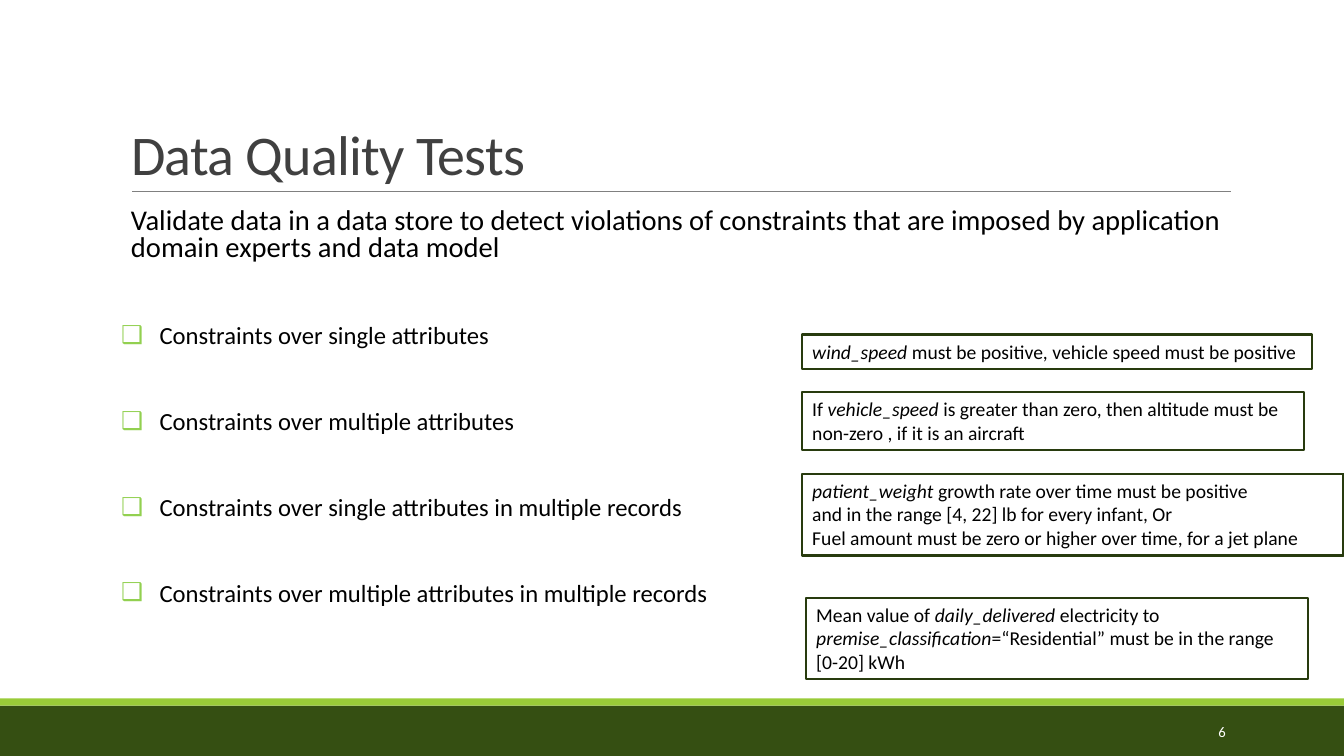
from lxml.etree import SubElement
from pptx import Presentation
from pptx.dml.color import RGBColor
from pptx.enum.shapes import MSO_CONNECTOR, MSO_SHAPE
from pptx.enum.text import MSO_ANCHOR, MSO_AUTO_SIZE, PP_ALIGN
from pptx.oxml.ns import qn
from pptx.util import Cm, Pt

BLACK, WHITE, GRAY, DARK = "000000", "FFFFFF", "404040", "283B0E"


def color(code):
    return RGBColor.from_string(code)


class Deck:
    face = "Calibri"

    def __init__(self, slide):
        self.slide = slide

    def style(self, para, size, code, align=PP_ALIGN.LEFT):
        para.alignment = align
        para.font.name = self.face
        para.font.size = Pt(size)
        para.font.color.rgb = color(code)

    def place(self, shape, x, y, w, h):
        shape.left, shape.top = Cm(x), Cm(y)
        shape.width, shape.height = Cm(w), Cm(h)

    def rect(self, x, y, w, h, fill=None, line=None):
        shape = self.slide.shapes.add_shape(
            MSO_SHAPE.RECTANGLE, Cm(x), Cm(y), Cm(w), Cm(h))
        shape.shadow.inherit = False
        if fill:
            shape.fill.solid()
            shape.fill.fore_color.rgb = color(fill)
        else:
            shape.fill.background()
        if line:
            shape.line.color.rgb = color(line)
            shape.line.width = Pt(1.5)
        else:
            shape.line.fill.background()
        return shape

    def rule(self, x, y, end, code):
        line = self.slide.shapes.add_connector(
            MSO_CONNECTOR.STRAIGHT, Cm(x), Cm(y), Cm(end), Cm(y))
        line.line.color.rgb = color(code)
        line.line.width = Pt(0.5)
        SubElement(line._element.spPr, qn("a:effectLst"))

    def title(self, text, *area):
        shape = self.slide.shapes.title
        self.place(shape, *area)
        frame = shape.text_frame
        frame.auto_size = MSO_AUTO_SIZE.NONE
        frame.vertical_anchor = MSO_ANCHOR.BOTTOM
        para = frame.paragraphs[0]
        run = para.add_run()
        run.text = text
        run._r.get_or_add_rPr().set("spc", "-50")
        para.line_spacing = 0.85
        self.style(para, 40, GRAY)

    def bullet(self, para, mark, indent):
        props = para._p.get_or_add_pPr()
        props.set("marL", str(Cm(indent)))
        props.set("indent", str(-Cm(indent)))
        tint = SubElement(props, qn("a:buClr"))
        SubElement(tint, qn("a:srgbClr"), val="92D050")
        SubElement(props, qn("a:buChar"), char=mark)

    def body(self, lead, items, *area):
        shape = self.slide.placeholders[1]
        self.place(shape, *area)
        frame = shape.text_frame
        frame.auto_size = MSO_AUTO_SIZE.NONE
        frame.margin_left = frame.margin_right = 0
        for i, text in enumerate([lead, *items]):
            para = frame.add_paragraph() if i else frame.paragraphs[0]
            para.text = text
            if i:
                self.bullet(para, "❑", 0.97)
            else:
                props = para._p.get_or_add_pPr()
                props.set("marL", str(Cm(0.25)))
                props.set("indent", "0")
                SubElement(props, qn("a:buNone"))
            para.line_spacing = 0.8
            para.space_before = Pt(44.5 if i else 0)
            para.space_after = Pt(0)
            self.style(para, 17.6 if i else 20.4, BLACK)

    def note(self, lines, *area):
        """Framed example; words between asterisks are italic."""
        frame = self.rect(*area, line=DARK).text_frame
        frame.word_wrap = True
        frame.auto_size = MSO_AUTO_SIZE.SHAPE_TO_FIT_TEXT
        frame.vertical_anchor = MSO_ANCHOR.TOP
        for i, text in enumerate(lines):
            para = frame.add_paragraph() if i else frame.paragraphs[0]
            for j, part in enumerate(text.split("*")):
                if part:
                    run = para.add_run()
                    run.text = part
                    if j % 2:
                        run.font.italic = True
            self.style(para, 14, BLACK)

    def number(self, text, *area):
        box = self.slide.shapes.add_textbox(*map(Cm, area))
        frame = box.text_frame
        frame.word_wrap = True
        frame.vertical_anchor = MSO_ANCHOR.MIDDLE
        para = frame.paragraphs[0]
        para.text = text
        self.style(para, 10.5, WHITE, PP_ALIGN.RIGHT)


def main():
    prs = Presentation()
    prs.slide_width, prs.slide_height = Cm(33.87), Cm(19.05)
    deck = Deck(prs.slides.add_slide(prs.slide_layouts[1]))

    # Footer bands and title rule
    deck.rect(0, 17.78, 33.87, 1.27, fill="354F12")
    deck.rect(0, 17.6, 33.87, 0.18, fill="99CB38")
    deck.rule(3.33, 4.83, 31.01, "808080")

    # Title and list
    deck.title("Data Quality Tests", 3.05, 0.79, 27.94, 4.04)
    deck.body(
        "Validate data in a data store to detect violations of constraints "
        "that are imposed by application domain experts and data model",
        ["Constraints over single attributes",
         "Constraints over multiple attributes",
         "Constraints over single attributes in multiple records",
         "Constraints over multiple attributes in multiple records"],
        3.05, 5.13, 27.94, 11.18)
    deck.number("6", 27.51, 17.93, 3.63, 1.02)

    # One example per constraint
    deck.note(["*wind_speed* must be positive, vehicle speed must be positive"],
              20.22, 8.43, 12.85, 0.86)
    deck.note(["If *vehicle_speed* is greater than zero, then altitude must be "
               "non-zero , if it is an aircraft"], 20.22, 9.88, 12.65, 1.45)
    deck.note(["*patient_weight* growth rate over time must be positive",
               "and in the range [4, 22] lb for every infant, Or",
               "Fuel amount must be zero or higher over time, for a jet plane"],
              20.22, 11.94, 13.64, 2.06)
    deck.note(["Mean value of *daily_delivered* electricity to "
               "*premise_classification*=“Residential” must be in the range "
               "[0-20] kWh"], 20.32, 15.06, 12.65, 2.06)

    prs.save("out.pptx")


if __name__ == "__main__":
    main()
